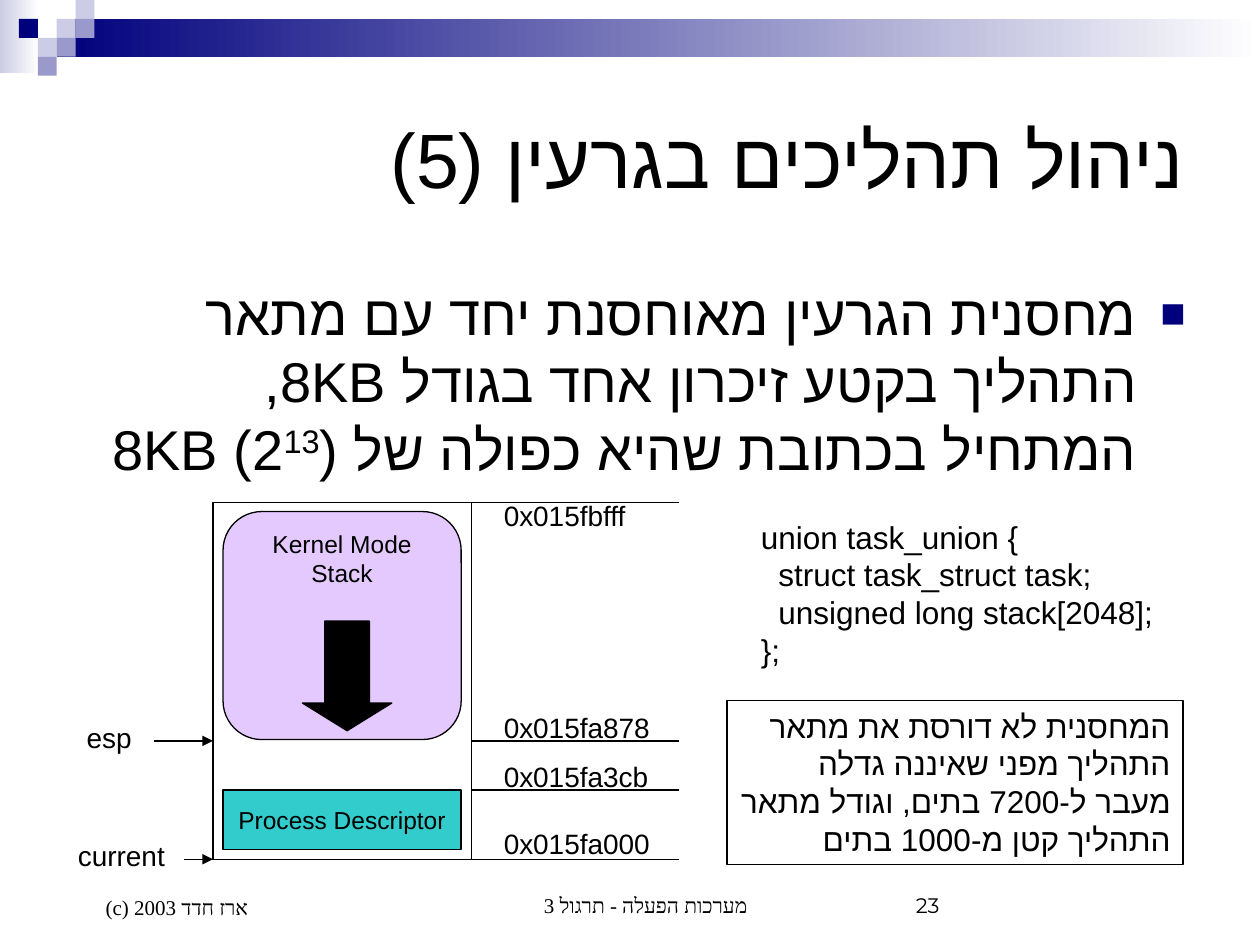
from lxml import etree
from pptx import Presentation
from pptx import util as u
from pptx.dml.color import RGBColor
from pptx.enum import shapes, text
from pptx.oxml.ns import qn

BLACK = RGBColor(0x00, 0x00, 0x00)
WHITE = RGBColor(0xFF, 0xFF, 0xFF)
NAVY = RGBColor(0x00, 0x00, 0x7D)
MID = RGBColor(0x99, 0x99, 0xCC)
PALE = RGBColor(0xCC, 0xCC, 0xE6)
LILAC = RGBColor(0xE4, 0xC9, 0xFF)
TEAL = RGBColor(0x33, 0xCC, 0xCC)

FORM = shapes.MSO_SHAPE
LEFT, MID_AL, RIGHT = text.PP_ALIGN.LEFT, text.PP_ALIGN.CENTER, text.PP_ALIGN.RIGHT
TOP, CENTRE, LOW = text.MSO_ANCHOR.TOP, text.MSO_ANCHOR.MIDDLE, text.MSO_ANCHOR.BOTTOM


def inch(*nums):
    return [u.Inches(n) for n in nums]


class Page:
    """Holds the line style and the slide being drawn."""
    ink = BLACK
    line = u.Pt(0.75)

    def __init__(self, slide):
        self.slide = slide

    def words(self, frame, lines, size, font="Arial", al=LEFT, anchor=TOP,
              rtl=False, wrap=True, indent=0):
        """Each line is a list of (wording, baseline) runs or a string."""
        frame.auto_size = text.MSO_AUTO_SIZE.NONE
        frame.word_wrap = wrap
        frame.vertical_anchor = anchor
        for i, row in enumerate(lines):
            para = frame.paragraphs[0] if i == 0 else frame.add_paragraph()
            para.alignment = al
            para.space_before = u.Pt(0)
            props = para._p.get_or_add_pPr()
            if rtl:
                props.set("rtl", "1")
            if indent:
                props.set("marL", str(u.Inches(indent)))
            for part, base in [(row, 0)] if isinstance(row, str) else row:
                run = para.add_run()
                run.text = part
                run.font.size = u.Pt(size)
                run.font.name = font
                run.font.color.rgb = self.ink
                mark = run._r.get_or_add_rPr()
                etree.SubElement(mark, qn("a:cs"), typeface=font)
                if base:
                    mark.set("baseline", str(base * 1000))

    def holder(self, item, at, lines, size, **style):
        item.left, item.top, item.width, item.height = inch(*at)
        self.words(item.text_frame, lines, size, **style)

    def bullet(self, para, sign, hang):
        props = para._p.get_or_add_pPr()
        props.set("marL", str(u.Inches(hang)))
        props.set("indent", str(-u.Inches(hang)))
        tint = etree.SubElement(props, qn("a:buClr"))
        etree.SubElement(tint, qn("a:srgbClr"), val=str(NAVY))
        etree.SubElement(props, qn("a:buSzPct"), val="75000")
        etree.SubElement(props, qn("a:buFont"), typeface="Arial")
        etree.SubElement(props, qn("a:buChar"), char=sign)

    def shape(self, at, fill=None, form=FORM.RECTANGLE, edge=True, adj=()):
        item = self.slide.shapes.add_shape(form, *inch(*at))
        item.shadow.inherit = False
        for i, part in enumerate(adj):
            item.adjustments[i] = part
        if fill is None:
            item.fill.background()
        else:
            item.fill.solid()
            item.fill.fore_color.rgb = fill
        if edge:
            item.line.color.rgb = self.ink
            item.line.width = self.line
        else:
            item.line.fill.background()
        return item

    def fade(self, at, start):
        item = self.shape(at, edge=False)
        item.fill.gradient()
        item.fill.gradient_angle = 0
        for stop, tint in zip(item.fill.gradient_stops, (start, WHITE)):
            stop.color.rgb = tint

    def label(self, at, lines, size, **style):
        box = self.slide.shapes.add_textbox(*inch(*at))
        self.words(box.text_frame, lines, size, **style)

    def rule(self, left, right, y, arrow=False):
        item = self.slide.shapes.add_connector(
            shapes.MSO_CONNECTOR.STRAIGHT, *inch(left, y, right, y))
        item.line.color.rgb = self.ink
        item.line.width = self.line
        if arrow:
            edge = item._element.spPr.find(qn("a:ln"))
            etree.SubElement(edge, qn("a:tailEnd"), type="triangle")
        etree.SubElement(item._element.spPr, qn("a:effectLst"))


def main():
    deck = Presentation()
    deck.slide_width, deck.slide_height = inch(10, 7.5)
    slide = deck.slides.add_slide(deck.slide_layouts[1])
    page = Page(slide)

    # Header band and its small squares, on a grid of one step
    step = 0.15
    page.fade((0, 0, 0.31, 0.58), PALE)
    page.fade((0.45, step, 9.55, 0.3), NAVY)
    for col, row, tint in ((3, 1, PALE), (4, 0, PALE), (4, 1, MID), (2, 2, PALE),
                           (1, 1, NAVY), (3, 2, MID), (2, 3, MID)):
        page.shape((col * step, row * step, step, step), tint, edge=False)

    # Title and list
    page.holder(slide.shapes.title, (0.5, 0.5, 9, 1.5), ["ניהול תהליכים בגרעין (5)"],
                44, al=RIGHT, anchor=CENTRE, rtl=True)
    body = slide.placeholders[1]
    page.bullet(body.text_frame.paragraphs[0], "■", 0.38)
    page.holder(body, (0.51, 2.17, 9, 4.25), [[
        ("מחסנית הגרעין מאוחסנת יחד עם מתאר התהליך בקטע זיכרון אחד בגודל 8KB, "
         "המתחיל בכתובת שהיא כפולה של 8KB (2", 0), ("13", 30), (")", 0)]],
        32, al=RIGHT, rtl=True)

    # Memory block: stack above, descriptor below
    left, right, top, low = 1.69, 3.74, 3.99, 6.82
    esp, desc = 5.88, 6.27
    page.shape((left, top, right - left, low - top))
    stack = page.shape((1.77, 4.06, 1.89, 1.81), LILAC, FORM.ROUNDED_RECTANGLE, adj=[0.17])
    page.words(stack.text_frame, ["Kernel Mode Stack"], 14, al=MID_AL, rtl=True)
    page.shape((2.4, 4.93, 0.71, 0.87), BLACK, FORM.DOWN_ARROW, adj=[0.5, 0.31])
    task = page.shape((1.77, desc, 1.89, 0.47), TEAL)
    page.words(task.text_frame, ["Process Descriptor"], 14, al=MID_AL,
               anchor=CENTRE, rtl=True, wrap=False)

    # Pointers on the left
    for name, x, y, width, start, level in (("esp", 0.59, 5.67, 0.56, 1.22, esp),
                                            ("current", 0.52, 6.61, 0.89, 1.46, low)):
        page.label((x, y, width, 0.37), [name], 16, rtl=True, wrap=False)
        page.rule(start, left, level, arrow=True)

    # Addresses on the right
    for name, y, width, level in (("0x015fbfff", 3.91, 1.17, top),
                                  ("0x015fa878", 5.59, 1.36, esp),
                                  ("0x015fa3cb", 5.98, 1.34, desc),
                                  ("0x015fa000", 6.51, 1.36, low)):
        page.rule(right, 5.39, level)
        page.label((3.9, y, width, 0.37), [name], 16, rtl=True, wrap=False)

    # Code and note
    page.label((5.94, 4.06, 3.31, 1.3), [
        "union task_union {",
        "  struct task_struct task;",
        "  unsigned long stack[2048];",
        "};"], 18)
    note = page.shape((5.77, 5.56, 3.62, 1.3))
    page.words(note.text_frame, [
        "המחסנית לא דורסת את מתאר",
        "התהליך מפני שאיננה גדלה",
        "מעבר ל-7200 בתים, וגודל מתאר",
        "התהליך קטן מ-1000 בתים"], 18, al=RIGHT, rtl=True, wrap=False)

    # Footer
    serif = "Times New Roman"
    page.label((3.42, 6.83, 3.17, 0.5), ["מערכות הפעלה - תרגול 3"], 12,
               font=serif, al=MID_AL, anchor=LOW, indent=0.24)
    page.label((7.17, 6.83, 2.33, 0.5), ["23"], 12, font="Montserrat", anchor=LOW)
    page.label((0.5, 6.83, 2.33, 0.52), ["(c) ארז חדד 2003"], 12,
               font=serif, anchor=LOW, indent=0.24)

    deck.save("out.pptx")


if __name__ == "__main__":
    main()
